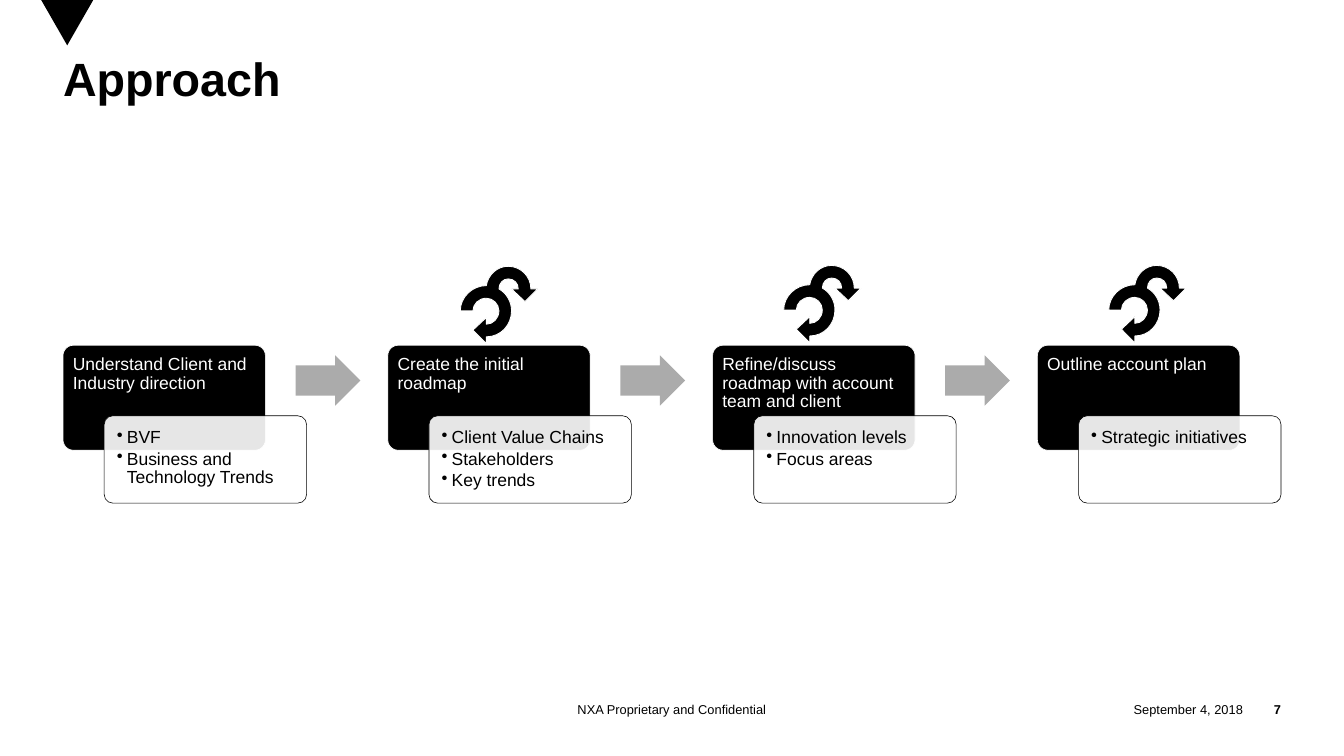
from lxml.etree import SubElement
from pptx import Presentation
from pptx.dml.color import RGBColor
from pptx.enum.shapes import MSO_SHAPE as SHAPE
from pptx.enum.text import MSO_ANCHOR as ANCHOR, MSO_AUTO_SIZE as AUTO, PP_ALIGN as ALIGN
from pptx.oxml.ns import qn
from pptx.util import Inches, Pt

TITLE = "Approach"
STEPS = [
    ("Understand Client and Industry direction",
     ["BVF", "Business and Technology Trends"]),
    ("Create the initial roadmap",
     ["Client Value Chains", "Stakeholders", "Key trends"]),
    ("Refine/discuss roadmap with account team and client",
     ["Innovation levels", "Focus areas"]),
    ("Outline account plan", ["Strategic initiatives"]),
]
# text, left, width, alignment, bold
FOOTERS = [
    ("September 4, 2018", 13.01, 1.79, ALIGN.RIGHT, False),
    ("7", 14.8, 0.45, ALIGN.RIGHT, True),
    ("NXA Proprietary and Confidential", 5.25, 5.5, ALIGN.CENTER, False),
]
COLORS = {"black": "000000", "white": "FFFFFF", "arrow": "ABABAB"}
FONT = "Arial"

LEFT, TOP = 0.75, 4.11
PITCH = 11.6 / 3
CARD_W, CARD_H = 2.41, 1.25
DETAIL_DX, DETAIL_DY, DETAIL_H = 0.49, 0.84, 1.04
ARROW_DX, ARROW_DY = 2.77, 0.12
LOOP_PLACES = [(5.48, 3.17), (9.33, 3.16), (13.2, 3.16)]
# One point is a straight edge; three points are a curve.
LOOP_START = (0.92, 0.27)
LOOP_EDGES = [
    [(0.77, 0.42)], [(0.61, 0.27)], [(0.69, 0.27)],
    [(0.69, 0.2), (0.64, 0.15), (0.57, 0.15)],
    [(0.51, 0.15), (0.46, 0.2), (0.46, 0.27)],
    [(0.55, 0.32), (0.61, 0.42), (0.61, 0.53)],
    [(0.61, 0.7), (0.48, 0.84), (0.31, 0.84)],
    [(0.31, 0.92)], [(0.15, 0.76)], [(0.31, 0.61)], [(0.31, 0.69)],
    [(0.39, 0.69), (0.46, 0.62), (0.46, 0.53)],
    [(0.46, 0.45), (0.39, 0.38), (0.31, 0.38)],
    [(0.22, 0.38), (0.15, 0.45), (0.15, 0.53)],
    [(0, 0.53)],
    [(0, 0.37), (0.14, 0.23), (0.31, 0.23)],
    [(0.33, 0.1), (0.44, 0), (0.57, 0)],
    [(0.72, 0), (0.84, 0.12), (0.84, 0.27)],
]


def rgb(name):
    return RGBColor.from_string(COLORS[name])


def paint(s, fill, line=None, width=0.5):
    s.shadow.inherit = False
    s.fill.solid()
    s.fill.fore_color.rgb = rgb(fill)
    if line:
        s.line.color.rgb = rgb(line)
        s.line.width = Pt(width)
    else:
        s.line.fill.background()


def add_preset(shapes, kind, box, fill, line=None, adj=()):
    s = shapes.add_shape(kind, *map(Inches, box))
    paint(s, fill, line)
    for i, value in enumerate(adj):
        s.adjustments[i] = value
    return s


def frame(s, inset, anchor=ANCHOR.TOP):
    tf = s.text_frame
    settings = {"word_wrap": True, "auto_size": AUTO.NONE, "vertical_anchor": anchor}
    for side in ("left", "right", "top", "bottom"):
        settings["margin_" + side] = Inches(inset)
    for name, value in settings.items():
        setattr(tf, name, value)
    return tf


def write(tf, lines, size, color, bold=False, align=ALIGN.LEFT, spacing=1.0,
          after=0, bullet=False):
    layout = {"alignment": align, "line_spacing": spacing,
              "space_before": Pt(0), "space_after": Pt(after)}
    for i, text in enumerate(lines):
        p = tf.add_paragraph() if i else tf.paragraphs[0]
        for name, value in layout.items():
            setattr(p, name, value)
        if bullet:
            pPr = p._p.get_or_add_pPr()
            pPr.set("marL", str(Inches(0.12)))
            pPr.set("indent", str(-Inches(0.12)))
            SubElement(pPr, qn("a:buChar"), char="•")
        r = p.add_run()
        r.text = text
        for name, value in {"name": FONT, "size": Pt(size), "bold": bold}.items():
            setattr(r.font, name, value)
        r.font.color.rgb = rgb(color)


def add_loop_arrows(shapes, left, top):
    def place(point):
        return Inches(left + point[0]), Inches(top + point[1])

    builder = shapes.build_freeform(*place(LOOP_START))
    builder.add_line_segments([place(pt) for edge in LOOP_EDGES for pt in edge], close=True)
    s = builder.convert_to_shape()
    lines = iter(list(s._element.iter(qn("a:lnTo"))))
    for edge in LOOP_EDGES:
        parts = [next(lines) for _ in edge]
        if len(parts) == 3:
            parts[0].addprevious(curve := parts[0].makeelement(qn("a:cubicBezTo")))
            for part in parts:
                curve.append(part[0])
                part.getparent().remove(part)
    paint(s, "black", "white", 0.75)


def add_step(shapes, index, heading, details):
    x = LEFT + index * PITCH
    card = add_preset(shapes, SHAPE.ROUNDED_RECTANGLE, (x, TOP, CARD_W, CARD_H),
                      "black", "white", [0.1])
    write(frame(card, 0.08), [heading], 15, "white", spacing=0.9)

    detail = add_preset(shapes, SHAPE.ROUNDED_RECTANGLE,
                        (x + DETAIL_DX, TOP + DETAIL_DY, CARD_W, DETAIL_H),
                        "white", "black", [0.1])
    fill_color = detail.fill._xPr.find(qn("a:solidFill"))[0]
    SubElement(fill_color, qn("a:alpha"), val="90000")
    write(frame(detail, 0.12), details, 15, "black", spacing=0.9, after=2.25, bullet=True)

    if index < len(STEPS) - 1:
        add_preset(shapes, SHAPE.RIGHT_ARROW, (x + ARROW_DX, TOP + ARROW_DY, 0.77, 0.6),
                   "arrow", adj=[0.6, 0.5])


def main():
    prs = Presentation()
    prs.slide_width, prs.slide_height = Inches(16), Inches(9)
    slide = prs.slides.add_slide(prs.slide_layouts[5])
    shapes = slide.shapes

    title = shapes.title
    title.left, title.top, title.width, title.height = map(Inches, (0.75, 0.7, 14.5, 1.55))
    write(frame(title, 0), [TITLE], 40, "black", bold=True, spacing=0.85)

    add_preset(shapes, SHAPE.FLOWCHART_MERGE, (0.49, 0, 0.62, 0.54), "black")
    for text, left, width, align, bold in FOOTERS:
        s = shapes.add_textbox(*map(Inches, (left, 8.29, width, 0.3)))
        write(frame(s, 0, ANCHOR.MIDDLE), [text], 11, "black", bold, align)

    for index, (heading, details) in enumerate(STEPS):
        add_step(shapes, index, heading, details)
    for left, top in LOOP_PLACES:
        add_loop_arrows(shapes, left, top)

    prs.save("out.pptx")


if __name__ == "__main__":
    main()
